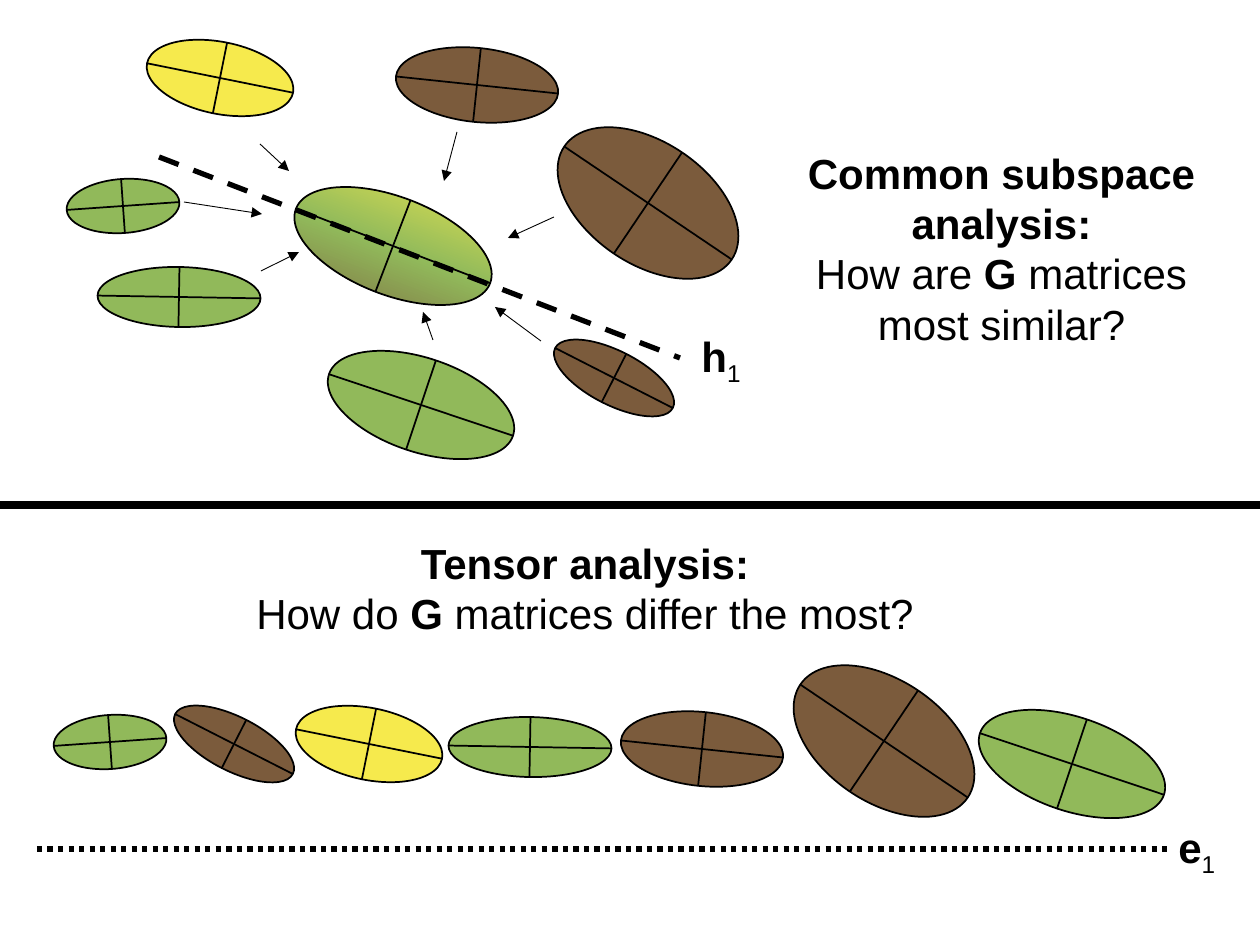
"""Draw G matrices as ellipses for two kinds of analysis."""
from math import cos, radians, sin

from lxml.etree import SubElement
from pptx import Presentation
from pptx.dml.color import RGBColor
from pptx.enum.dml import MSO_LINE
from pptx.enum.shapes import MSO_CONNECTOR, MSO_SHAPE
from pptx.enum.text import MSO_AUTO_SIZE, PP_ALIGN
from pptx.oxml.ns import qn
from pptx.util import Pt

SCALE = 914400 / 126
BLACK, GREEN, BROWN, YELLOW = "000000", "88B44D", "704E2C", "F5E627"
BLEND = ((0, "F7EB4E"), (51, "91BA5B"), (100, "7B5C3D"))

KINDS = {
    "small green": (54, 113, 86, GREEN, 92),
    "small brown": (54, 132, 117, BROWN, 92),
    "yellow": (72, 149, 101.4, YELLOW, 82),
    "flat green": (60, 163, 91, GREEN, 92),
    "flat brown": (74, 163, 96, BROWN, 92),
    "large brown": (122, 202, 124, BROWN, 92),
    "large green": (94, 194, 108.5, GREEN, 92),
    "shared": (98, 208, 111, BLEND, 100),
}
ROW = {
    "small green": (110, 742), "small brown": (234, 744), "yellow": (369, 744),
    "flat green": (530, 747), "flat brown": (702, 749),
    "large brown": (884, 741), "large green": (1072, 764),
}
RING = {
    "shared": (393, 246), "small green": (123, 206), "yellow": (220, 78),
    "flat brown": (477, 85), "small brown": (614, 378),
    "large brown": (648, 203), "flat green": (179, 297),
    "large green": (421, 405),
}
ARROWS = (
    (457, 132, 444, 181), (554, 217, 508, 238), (541, 341, 495, 307),
    (433, 340, 423, 312), (261, 271, 299, 252), (184, 202, 262, 214),
    (260, 144, 289, 171),
)


def px(*sizes):
    return [round(size * SCALE) for size in sizes]


def color(code):
    return RGBColor.from_string(code)


def draw_line(shapes, ends, width=1, dash=None, arrow=False):
    line = shapes.add_connector(MSO_CONNECTOR.STRAIGHT, *px(*ends))
    line.line.color.rgb = color(BLACK)
    line.line.width = Pt(width)
    if dash:
        line.line.dash_style = dash
    props = line._element.spPr
    if arrow:
        SubElement(props.find(qn("a:ln")), qn("a:tailEnd"), type="triangle")
    SubElement(props, qn("a:effectLst"))


def blend_fill(fill, stops):
    fill.gradient()
    fill.gradient_angle = 0
    stop_list = fill._fill._gradFill.find(qn("a:gsLst"))
    for stop in list(stop_list):
        stop_list.remove(stop)
    for place, code in stops:
        stop = SubElement(stop_list, qn("a:gs"), pos=str(place * 1000))
        SubElement(stop, qn("a:srgbClr"), val=code)


def plain_fill(shape, code, alpha):
    shape.fill.solid()
    shape.fill.fore_color.rgb = color(code)
    tint = shape._element.spPr.find(qn("a:solidFill"))[0]
    SubElement(tint, qn("a:alpha"), val=str(alpha * 1000))


def draw_matrix(slide, kind, mid_x, mid_y):
    wide, high, turn, paint, alpha = KINDS[kind]
    shapes = slide.shapes.add_group_shape().shapes
    oval = shapes.add_shape(MSO_SHAPE.OVAL, *px(
        mid_x - wide / 2, mid_y - high / 2, wide, high))
    oval.rotation = turn
    oval.shadow.inherit = False
    if paint is BLEND:
        blend_fill(oval.fill, paint)
    else:
        plain_fill(oval, paint, alpha)
    oval.line.color.rgb = color(BLACK)
    oval.line.width = Pt(1)
    for size, angle in ((high, turn - 90), (wide, turn)):
        dx = size / 2 * cos(radians(angle))
        dy = size / 2 * sin(radians(angle))
        draw_line(shapes, (mid_x + dx, mid_y + dy, mid_x - dx, mid_y - dy))


def add_text(slide, box, lines, align=PP_ALIGN.LEFT, wrap=True, size=24):
    frame = slide.shapes.add_textbox(*px(*box)).text_frame
    frame.word_wrap = wrap
    frame.auto_size = MSO_AUTO_SIZE.SHAPE_TO_FIT_TEXT
    for count, parts in enumerate(lines):
        para = frame.add_paragraph() if count else frame.paragraphs[0]
        para.alignment = align
        for words, style in parts:
            run = para.add_run()
            run.text = words
            run.font.name = "Arial"
            run.font.size = Pt(size)
            run.font.bold = style == "bold"
            run.font.color.rgb = color(BLACK)
            if style == "sub":
                run.font._element.set("baseline", "-25000")


def add_label(slide, box, letter):
    add_text(slide, box, [[(letter, "bold"), ("1", "sub")]], wrap=False)


def add_topic(slide, box, title, start, end):
    lines = [[(title, "bold")], [(start, ""), ("G", "bold"), (end, "")]]
    add_text(slide, box, lines, align=PP_ALIGN.CENTER)


def main():
    deck = Presentation()
    deck.slide_width, deck.slide_height = px(1260, 945)
    slide = deck.slides.add_slide(deck.slide_layouts[6])
    for layout in (ROW, RING):
        for kind, center in layout.items():
            draw_matrix(slide, kind, *center)
    for ends in ARROWS:
        draw_line(slide.shapes, ends, width=0.5, arrow=True)
    draw_line(slide.shapes, (159, 157, 680, 358), 3, MSO_LINE.DASH)
    draw_line(slide.shapes, (37, 849, 1171, 849), 3, MSO_LINE.ROUND_DOT)
    draw_line(slide.shapes, (0, 505, 1260, 505), 4.5)
    add_label(slide, (689, 324, 67, 63), "h")
    add_label(slide, (1166, 815, 64, 63), "e")
    add_topic(slide, (782, 141, 439, 217), "Common subspace analysis:",
              "How are ", " matrices most similar?")
    add_topic(slide, (59, 531, 1052, 115), "Tensor analysis:",
              "How do ", " matrices differ the most?")
    deck.save("out.pptx")


if __name__ == "__main__":
    main()
